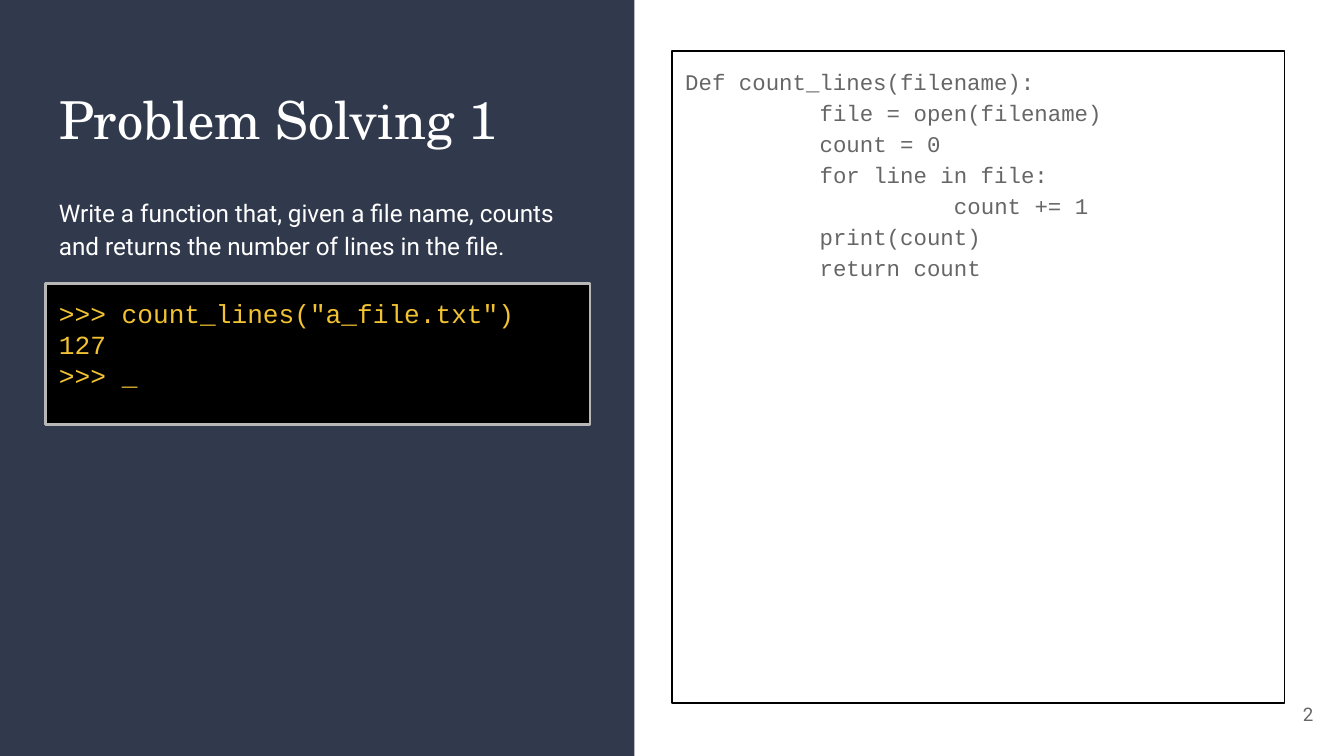
from lxml.etree import SubElement
from pptx import Presentation
from pptx.dml.color import RGBColor
from pptx.enum.shapes import MSO_SHAPE
from pptx.enum.text import MSO_ANCHOR, MSO_AUTO_SIZE, PP_ALIGN
from pptx.oxml.ns import qn
from pptx.util import Inches, Pt

NAVY = RGBColor(0x31, 0x39, 0x4D)
WHITE = RGBColor(0xFF, 0xFF, 0xFF)
BLACK = RGBColor(0x00, 0x00, 0x00)
GRAY = RGBColor(0x66, 0x66, 0x66)
SILVER = RGBColor(0xB7, 0xB7, 0xB7)
GOLD = RGBColor(0xF1, 0xC2, 0x32)

SERIF = "TeX Gyre Schola"
SANS = "Roboto"
MONO = "Courier New"

WIDTH = 10
HEIGHT = WIDTH * 9 / 16
LEFT = 0.34
COLUMN = 4.05

TASK = "Write a function that, given a file name, counts and returns the number of lines in the file."
SOLUTION = """Def count_lines(filename):
\tfile = open(filename)
\tcount = 0
\tfor line in file:
\t\tcount += 1
\tprint(count)
\treturn count"""
SESSION = """>>> count_lines("a_file.txt")
127
>>> """


def add_tab_stops(paragraph, stops):
    tab_list = SubElement(paragraph._p.get_or_add_pPr(), qn("a:tabLst"))
    for stop in stops:
        SubElement(tab_list, qn("a:tab"), pos=str(Inches(stop)), algn="l")


def write_text(shape, text, font_name, size, color, spacing=1.0,
               align=PP_ALIGN.LEFT, anchor=MSO_ANCHOR.TOP, stops=()):
    frame = shape.text_frame
    frame.text = text
    frame.word_wrap = True
    frame.auto_size = MSO_AUTO_SIZE.NONE
    frame.vertical_anchor = anchor
    frame.margin_left = frame.margin_right = Inches(0.1)
    frame.margin_top = frame.margin_bottom = Inches(0.1)
    for paragraph in frame.paragraphs:
        paragraph.alignment = align
        paragraph.line_spacing = spacing
        paragraph.space_before = Pt(0)
        if stops:
            add_tab_stops(paragraph, stops)
        paragraph.font.name = font_name
        paragraph.font.size = Pt(size)
        paragraph.font.color.rgb = color


def add_box(slide, left, top, width, height, fill=None, line=None, line_width=0.75):
    shape = slide.shapes.add_shape(
        MSO_SHAPE.RECTANGLE, Inches(left), Inches(top), Inches(width), Inches(height))
    shape.shadow.inherit = False
    if fill is None:
        shape.fill.background()
    else:
        shape.fill.solid()
        shape.fill.fore_color.rgb = fill
    if line is None:
        shape.line.fill.background()
    else:
        shape.line.color.rgb = line
        shape.line.width = Pt(line_width)
    return shape


def add_label(slide, left, top, width, height, text, size, color, **layout):
    shape = slide.shapes.add_textbox(
        Inches(left), Inches(top), Inches(width), Inches(height))
    write_text(shape, text, SANS, size, color, anchor=MSO_ANCHOR.MIDDLE, **layout)


def set_title(slide, text):
    title = slide.shapes.title
    title.left, title.top = Inches(LEFT), Inches(0.55)
    title.width, title.height = Inches(COLUMN), Inches(0.7)
    write_text(title, text, SERIF, 28, WHITE)


def add_side_panel(slide):
    panel = add_box(slide, 0, 0, 4.72, HEIGHT, fill=NAVY)
    slide.shapes.title.element.addprevious(panel.element)


def add_solution(slide):
    solution = add_box(slide, 5, 0.38, 4.56, 4.85, line=BLACK)
    write_text(solution, SOLUTION, MONO, 12, GRAY, spacing=1.15, stops=(1, 2))


def add_terminal(slide):
    terminal = add_box(slide, LEFT, 2.11, COLUMN, 1.05, BLACK, SILVER, 1.5)
    write_text(terminal, SESSION, MONO, 14, GOLD)
    cursor = terminal.text_frame.paragraphs[-1].add_run()
    cursor.text = "_"
    cursor.font.bold = True


def main():
    presentation = Presentation()
    presentation.slide_width = Inches(WIDTH)
    presentation.slide_height = Inches(HEIGHT)
    slide = presentation.slides.add_slide(presentation.slide_layouts[5])

    add_side_panel(slide)
    set_title(slide, "Problem Solving 1")
    add_solution(slide)
    add_label(slide, LEFT, 1.32, COLUMN, 0.74, TASK, 13, WHITE, spacing=1.15)
    add_label(slide, 9.27, 5.1, 0.6, 0.43, "2", 10, GRAY, align=PP_ALIGN.RIGHT)
    add_terminal(slide)

    presentation.save("out.pptx")


if __name__ == "__main__":
    main()
